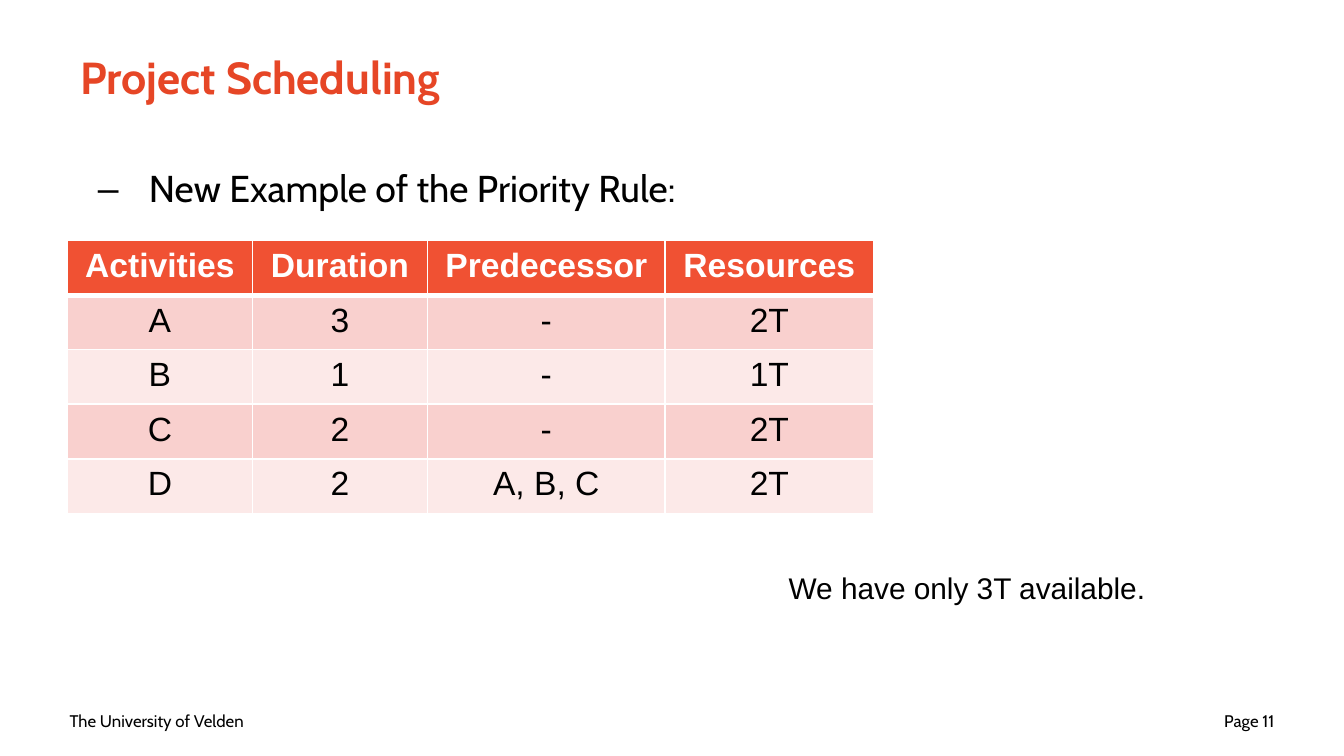
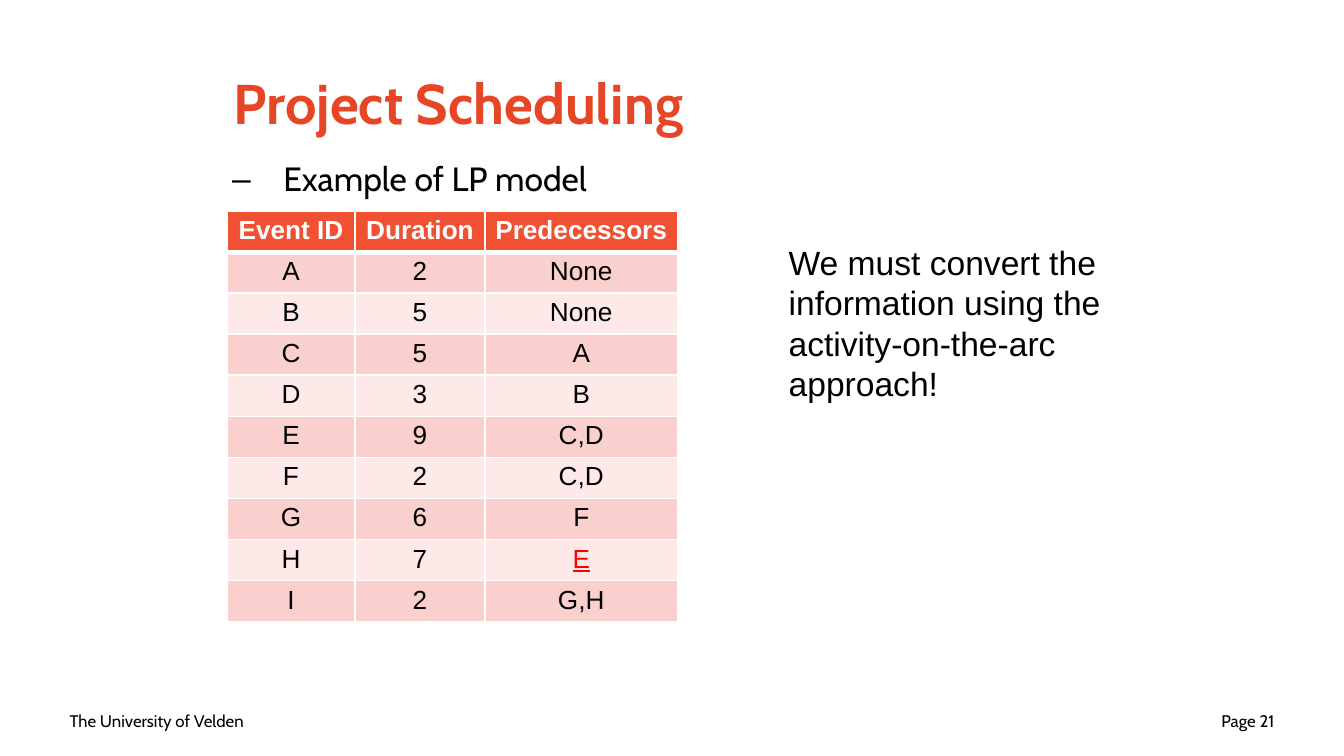
from lxml import etree
from pptx import Presentation
from pptx.dml.color import RGBColor
from pptx.enum.text import MSO_ANCHOR, PP_ALIGN
from pptx.oxml.ns import qn
from pptx.util import Inches, Pt

LEFT, CENTER, RIGHT = PP_ALIGN.LEFT, PP_ALIGN.CENTER, PP_ALIGN.RIGHT
TOP, MIDDLE = MSO_ANCHOR.TOP, MSO_ANCHOR.MIDDLE

WHITE = RGBColor(0xFF, 0xFF, 0xFF)
BLACK = RGBColor(0x00, 0x00, 0x00)
RED = RGBColor(0xFF, 0x00, 0x00)
TITLE_ORANGE = RGBColor(0xE6, 0x46, 0x26)
HEADER_ORANGE = RGBColor(0xF0, 0x51, 0x33)
ROW_FILLS = [RGBColor(0xFC, 0xE9, 0xE8), RGBColor(0xF9, 0xD0, 0xCE)]

HEADING_FONT = "Cabin"
BODY_FONT = "Arial"
TITLE = "Project Scheduling"
FOOTER = "The University of Velden"

# Boxes and columns are in inches, text sizes and cell margins in points
SLIDES = [
    {
        "page": "Page 11",
        "title_box": (0.5, 0.1, 9, 0.94), "title_size": 24,
        "bullet": "New Example of the Priority Rule:",
        "bullet_box": (0.63, 1.22, 8.82, 3.71), "bullet_size": 20, "bullet_gap": 35,
        "table_box": (0.5, 1.79, 6, 2.03), "table_size": 18,
        "columns": [1.38, 1.3, 1.77, 1.55], "margins": (7.2, 3.6),
        "rows": [
            ["Activities", "Duration", "Predecessor", "Resources"],
            ["A", "3", "-", "2T"],
            ["B", "1", "-", "1T"],
            ["C", "2", "-", "2T"],
            ["D", "2", "A, B, C", "2T"],
        ],
        "marked_cell": None,
        "note": "We have only 3T available.",
        "note_box": (5.77, 4.19, 3.14, 0.37), "note_size": 16,
    },
    {
        "page": "Page 21",
        "title_box": (1.64, 0.2, 6.72, 1.12), "title_size": 30,
        "bullet": "Example of LP model",
        "bullet_box": (1.63, 1.16, 6.73, 3.52), "bullet_size": 18, "bullet_gap": 20,
        "table_box": (1.69, 1.57, 3.35, 3.04), "table_size": 14,
        "columns": [0.95, 0.97, 1.43], "margins": (5.4, 2.6),
        "rows": [
            ["Event ID", "Duration", "Predecessors"],
            ["A", "2", "None"],
            ["B", "5", "None"],
            ["C", "5", "A"],
            ["D", "3", "B"],
            ["E", "9", "C,D"],
            ["F", "2", "C,D"],
            ["G", "6", "F"],
            ["H", "7", "E"],
            ["I", "2", "G,H"],
        ],
        "marked_cell": (8, 2),
        "note": "We must convert the information using the activity-on-the-arc approach!",
        "note_box": (5.77, 1.75, 2.83, 1.31), "note_size": 18,
    },
]


def add_text(slide, box, text, size, font=HEADING_FONT, color=BLACK, bold=False,
             align=LEFT, anchor=TOP):
    shape = slide.shapes.add_textbox(*[Inches(length) for length in box])
    shape.text_frame.word_wrap = True
    shape.text_frame.vertical_anchor = anchor
    shape.text_frame.text = text
    paragraph = shape.text_frame.paragraphs[0]
    paragraph.alignment = align
    style_run(paragraph.runs[0], size, font, color, bold)
    return paragraph


def style_run(run, size, font, color, bold):
    run.font.size = Pt(size)
    run.font.name = font
    run.font.color.rgb = color
    run.font.bold = bold


# Widescreen 16:9 page
presentation = Presentation()
presentation.slide_width = Inches(10)
presentation.slide_height = Inches(10) * 9 // 16

for content in SLIDES:
    slide = presentation.slides.add_slide(presentation.slide_layouts[6])

    # Footer and title
    add_text(slide, (0.42, 5.21, 2.33, 0.3), FOOTER, 9, anchor=MIDDLE)
    add_text(slide, (7.25, 5.21, 2.33, 0.3), content["page"], 9, align=RIGHT, anchor=MIDDLE)
    add_text(slide, content["title_box"], TITLE, content["title_size"],
             color=TITLE_ORANGE, bold=True, anchor=MIDDLE)

    # Dash bullet with hanging indent
    paragraph = add_text(slide, content["bullet_box"], content["bullet"], content["bullet_size"])
    paragraph.line_spacing = 0.9
    properties = paragraph._p.get_or_add_pPr()
    properties.set("marL", str(Inches(0.38)))
    properties.set("indent", str(-Inches(0.38)))
    space_before = etree.SubElement(properties, qn("a:spcBef"))
    etree.SubElement(space_before, qn("a:spcPct"), val=str(content["bullet_gap"] * 1000))
    etree.SubElement(properties, qn("a:buFont"), typeface=BODY_FONT)
    etree.SubElement(properties, qn("a:buChar"), char="–")

    # Table
    rows = content["rows"]
    left, top, width, height = [Inches(length) for length in content["table_box"]]
    table = slide.shapes.add_table(len(rows), len(rows[0]), left, top, width, height).table
    table.horz_banding = False
    for column, column_width in zip(table.columns, content["columns"]):
        column.width = Inches(column_width)
    side_margin, end_margin = [Pt(length) for length in content["margins"]]

    for row_index, row in enumerate(rows):
        is_header = row_index == 0
        borders = {"a:lnL": 1, "a:lnR": 1,
                   "a:lnT": 3 if row_index == 1 else 1,
                   "a:lnB": 3 if is_header else 1}
        for column_index, text in enumerate(row):
            cell = table.cell(row_index, column_index)
            cell.margin_left = cell.margin_right = side_margin
            cell.margin_top = cell.margin_bottom = end_margin
            cell_properties = cell._tc.get_or_add_tcPr()
            for tag, points in borders.items():
                line = etree.SubElement(cell_properties, qn(tag), w=str(Pt(points)))
                line_fill = etree.SubElement(line, qn("a:solidFill"))
                etree.SubElement(line_fill, qn("a:srgbClr"), val=str(WHITE))
            cell.fill.solid()
            cell.fill.fore_color.rgb = HEADER_ORANGE if is_header else ROW_FILLS[row_index % 2]

            cell.text_frame.text = text
            paragraph = cell.text_frame.paragraphs[0]
            paragraph.alignment = CENTER
            run = paragraph.runs[0]
            style_run(run, content["table_size"], BODY_FONT,
                      WHITE if is_header else BLACK, is_header)
            if (row_index, column_index) == content["marked_cell"]:
                run.font.color.rgb = RED
                run.font.underline = True

    # Note beside the table
    add_text(slide, content["note_box"], content["note"], content["note_size"], font=BODY_FONT)

presentation.save("out.pptx")
